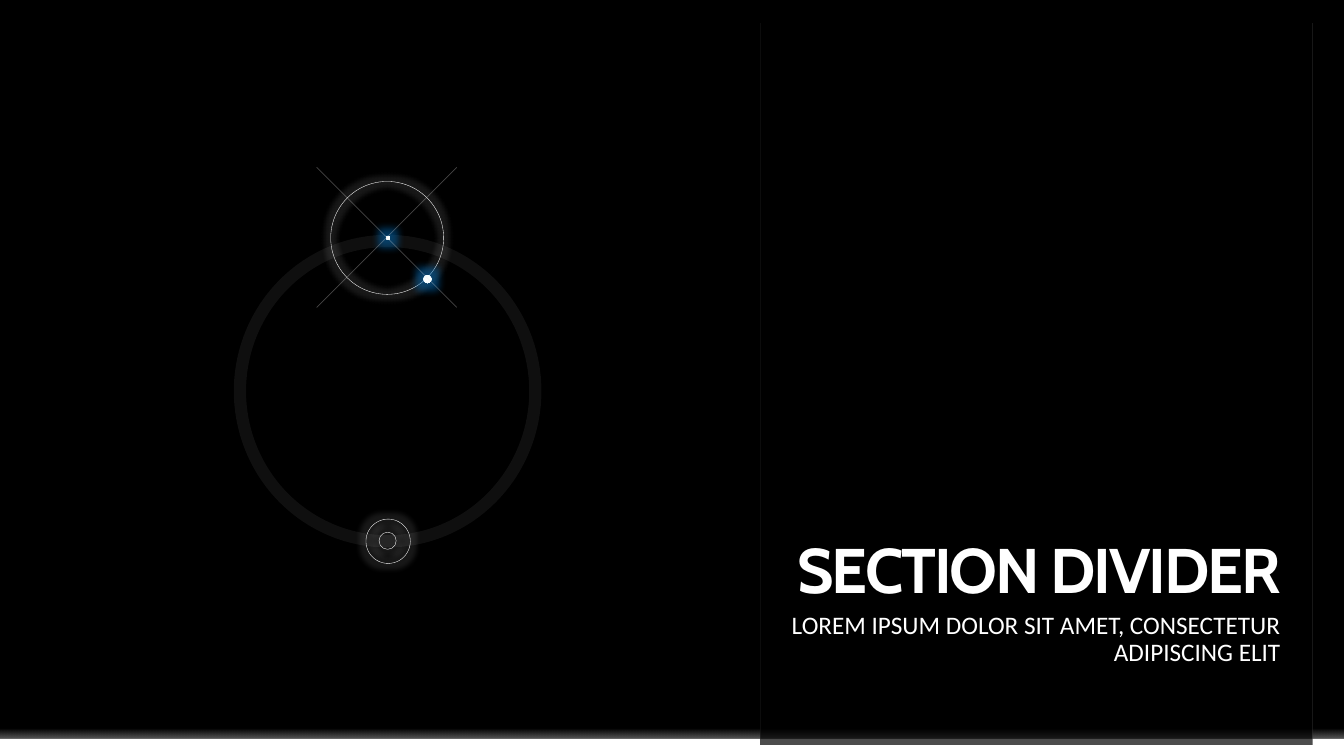
import pptx
import pptx.util
import pptx.dml.color
import pptx.enum.shapes
import pptx.enum.text
import pptx.oxml
import pptx.oxml.ns

Inches, Pt = pptx.util.Inches, pptx.util.Pt
RGBColor = pptx.dml.color.RGBColor
SHAPE = pptx.enum.shapes.MSO_SHAPE
ANCHOR = pptx.enum.text.MSO_ANCHOR
qn = pptx.oxml.ns.qn
NS = pptx.oxml.ns.nsdecls("a")

BLACK = RGBColor(0x00, 0x00, 0x00)
WHITE = RGBColor(0xFF, 0xFF, 0xFF)
PALE = RGBColor(0xF2, 0xF2, 0xF2)
GREY = RGBColor(0xE7, 0xE6, 0xE6)
GLOW_BLUE = RGBColor(0x00, 0x70, 0xC0)
STRIP_STOPS = [(40, WHITE, 0), (100, WHITE, 35)]
DOT_STOPS = [(0, WHITE, 100), (65, RGBColor(0xF7, 0xFF, 0xFF), 100),
             (70, RGBColor(0xC1, 0xE4, 0xFF), 100)]
DOWN = '<a:lin ang="5400000" scaled="0"/>'
ROUND = ('<a:path path="circle"><a:fillToRect l="50000" t="50000" '
         'r="50000" b="50000"/></a:path>')

prs = pptx.Presentation()
prs.slide_width, prs.slide_height = Inches(13.33), Inches(7.5)
s = prs.slides.add_slide(prs.slide_layouts[6])
s.background.fill.solid()
s.background.fill.fore_color.rgb = BLACK


def add_figure(kind, box, fill=None, alpha=100, stops=None, direction=DOWN,
               line=None, line_alpha=100, glow=None):
    """Add a shape; alphas are opacity in percent, glow is (colour, points, opacity)."""
    sp = s.shapes.add_shape(kind, *[Inches(v) for v in box])
    sp.shadow.inherit = False
    sp.fill.background()
    sp.line.fill.background()
    props = sp._element.spPr
    if fill is not None:
        sp.fill.solid()
        sp.fill.fore_color.rgb = fill
        set_alpha(props.find(qn("a:solidFill")), alpha)
    if stops:
        gs = "".join(
            f'<a:gs pos="{pos * 1000}"><a:srgbClr val="{color}">'
            f'<a:alpha val="{opacity * 1000}"/></a:srgbClr></a:gs>'
            for pos, color, opacity in stops)
        props.replace(props.find(qn("a:noFill")), pptx.oxml.parse_xml(
            f'<a:gradFill {NS} rotWithShape="1"><a:gsLst>{gs}</a:gsLst>{direction}</a:gradFill>'))
    if line:
        sp.line.color.rgb = WHITE
        sp.line.width = Pt(line)
        set_alpha(props.find(qn("a:ln")), line_alpha)
    if glow:
        color, radius, opacity = glow
        props.find(qn("a:effectLst")).append(pptx.oxml.parse_xml(
            f'<a:glow {NS} rad="{Pt(radius)}"><a:srgbClr val="{color}">'
            f'<a:alpha val="{opacity * 1000}"/></a:srgbClr></a:glow>'))


def set_alpha(el, percent):
    el.find(".//" + qn("a:srgbClr")).append(
        pptx.oxml.parse_xml(f'<a:alpha {NS} val="{percent * 1000}"/>'))


# Bottom strip and text panel
add_figure(SHAPE.RECTANGLE, (0, 7.16, 13.33, 0.17), stops=STRIP_STOPS)
add_figure(SHAPE.RECTANGLE, (0, 7.33, 13.33, 0.17), fill=WHITE)
add_figure(SHAPE.RECTANGLE, (7.54, 4.26, 5.48, 3.13), fill=BLACK, alpha=70)
add_figure(SHAPE.RECTANGLE, (7.54, 0.23, 5.48, 4.04), fill=BLACK, alpha=94)

# Orbit, rings and glowing dots
WHITE_GLOW = (WHITE, 8, 10)
BLUE_GLOW = (GLOW_BLUE, 11, 50)
add_figure(SHAPE.OVAL, (2.38, 2.39, 2.93, 2.98), line=8.75, line_alpha=6)
for x, y, size in [(3.28, 1.8, 1.12), (3.63, 5.15, 0.44), (3.76, 5.28, 0.17)]:
    add_figure(SHAPE.OVAL, (x, y, size, size), line=0.25, glow=WHITE_GLOW)
for x, y, size in [(4.2, 2.73, 0.08), (3.83, 2.34, 0.04)]:
    add_figure(SHAPE.OVAL, (x, y, size, size), stops=DOT_STOPS,
               direction=ROUND, glow=BLUE_GLOW)

# Panel edges and the cross through the upper ring
edges = [((x, 0.23, x, 7.33), PALE, 0.25, 15) for x in (13.02, 13.02, 7.54)]
cross = [((x1, 3.05, x2, 1.66), GREY, 0.5, 30)
         for x1, x2 in ((3.14, 4.53), (4.53, 3.14))]
for ends, color, width, opacity in edges + cross:
    c = s.shapes.add_connector(pptx.enum.shapes.MSO_CONNECTOR.STRAIGHT,
                               *[Inches(v) for v in ends])
    c.line.color.rgb = color
    c.line.width = Pt(width)
    props = c._element.spPr
    set_alpha(props.find(qn("a:ln")), opacity)
    props.append(pptx.oxml.parse_xml(f"<a:effectLst {NS}/>"))

# Title and subtitle
for text, top, height, anchor, font, size, bold, before, spacing in [
    ("SECTION DIVIDER", 4.26, 1.76, ANCHOR.BOTTOM, "Cabin", 45, True, 0, -150),
    ("LOREM IPSUM DOLOR SIT AMET, CONSECTETUR ADIPISCING ELIT",
     6.08, 1.15, ANCHOR.TOP, "Calibri", 18, False, 10, 0),
]:
    tb = s.shapes.add_textbox(Inches(7.83), Inches(top), Inches(4.87), Inches(height))
    tf = tb.text_frame
    tf.word_wrap = True
    tf.vertical_anchor = anchor
    tf.margin_left = tf.margin_right = tf.margin_top = tf.margin_bottom = 0
    tf.text = text
    p = tf.paragraphs[0]
    p.alignment = pptx.enum.text.PP_ALIGN.RIGHT
    p.line_spacing = 0.9
    p.space_before = Pt(before)
    r = p.runs[0]
    r.font.name = font
    r.font.size = Pt(size)
    r.font.bold = bold
    r.font.color.rgb = WHITE
    r.font._element.set("spc", str(spacing))

prs.save("out.pptx")
